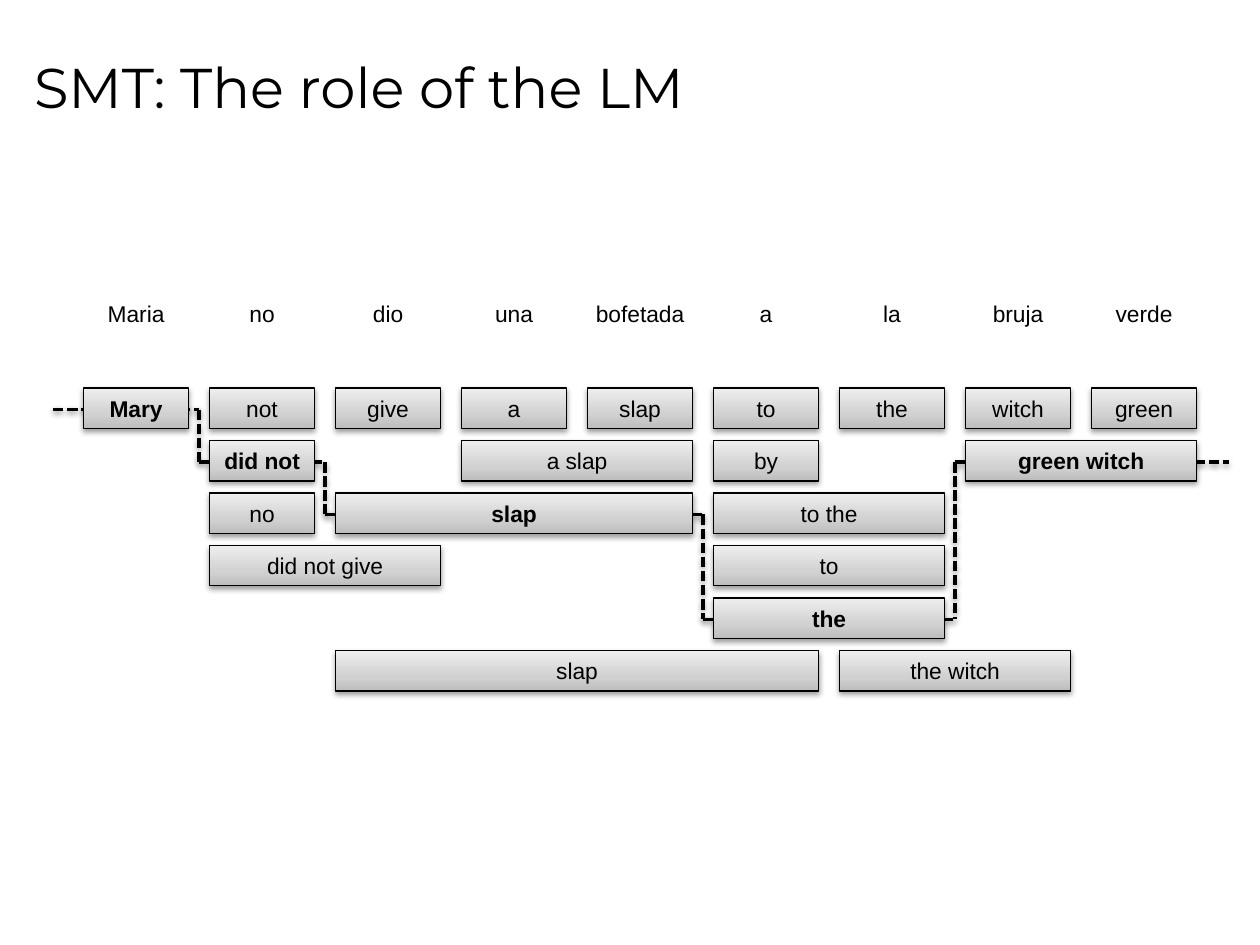
from itertools import pairwise

from pptx import Presentation
from pptx.dml.color import RGBColor
from pptx.enum.dml import MSO_LINE as Dash
from pptx.enum.shapes import MSO_CONNECTOR as Connector, MSO_SHAPE as Shape
from pptx.enum.text import MSO_ANCHOR as Anchor, MSO_AUTO_SIZE as AutoSize, PP_ALIGN as Align
from pptx.oxml import parse_xml
from pptx.oxml.ns import nsdecls
from pptx.util import Inches, Pt

# Content
TITLE = "SMT: The role of the LM"
SOURCE_WORDS = ["Maria", "no", "dio", "una", "bofetada", "a", "la", "bruja", "verde"]
# Phrase options in each row: (first column, columns covered, text, on chosen path)
PHRASE_ROWS = [
    [(0, 1, "Mary", True), (1, 1, "not", False), (2, 1, "give", False),
     (3, 1, "a", False), (4, 1, "slap", False), (5, 1, "to", False),
     (6, 1, "the", False), (7, 1, "witch", False), (8, 1, "green", False)],
    [(1, 1, "did not", True), (3, 2, "a slap", False), (5, 1, "by", False),
     (7, 2, "green witch", True)],
    [(1, 1, "no", False), (2, 3, "slap", True), (5, 2, "to the", False)],
    [(1, 2, "did not give", False), (5, 2, "to", False)],
    [(5, 2, "the", True)],
    [(2, 4, "slap", False), (6, 2, "the witch", False)],
]
# Corners of the chosen path: (column boundary, row)
PATH_CORNERS = [(-0.16, 0), (1, 0), (1, 1), (2, 1), (2, 2), (5, 2),
                (5, 4), (7, 4), (7, 1), (9.17, 1)]

# Grid, in inches
GRID_LEFT, COLUMN_WIDTH, COLUMN_GAP = 0.58, 1, 0.17
WORDS_TOP, GRID_TOP, ROW_PITCH, BOX_HEIGHT = 2.33, 3.08, 5 / 12, 0.32
PATH_TOP = 3.25

BLACK = RGBColor(0x00, 0x00, 0x00)
GRADIENT = [(0, RGBColor(0xBD, 0xBD, 0xBD)), (35, RGBColor(0xD1, 0xD1, 0xD1)),
            (100, RGBColor(0xEE, 0xEE, 0xEE))]


def add_gradient(box):
    stops = "".join(
        f'<a:gs pos="{share * 1000}"><a:srgbClr val="{colour}"/></a:gs>'
        for share, colour in GRADIENT)
    fill = parse_xml(
        f'<a:gradFill {nsdecls("a")} rotWithShape="1"><a:gsLst>{stops}</a:gsLst>'
        '<a:lin ang="16200000" scaled="0"/></a:gradFill>')
    box.element.spPr.insert(2, fill)  # right after the geometry


def add_shadow(item):
    item.element.spPr.append(parse_xml(
        f'<a:effectLst {nsdecls("a")}><a:outerShdw blurRad="40000" dist="20000" '
        'dir="5400000" rotWithShape="0"><a:srgbClr val="000000">'
        '<a:alpha val="38000"/></a:srgbClr></a:outerShdw></a:effectLst>'))


def write(box, text, size, font, align, bold=False):
    para = box.text_frame.paragraphs[0]
    para.alignment = align
    span = para.add_run()
    span.text = text
    span.font.size, span.font.name, span.font.bold = Pt(size), font, bold
    span.font.color.rgb = BLACK


def write_word(box, text, bold=False):
    frame = box.text_frame
    frame.word_wrap = True
    frame.auto_size = AutoSize.SHAPE_TO_FIT_TEXT
    frame.margin_left = frame.margin_right = Inches(0.05)
    write(box, text, 13, "Arial", Align.CENTER, bold)


def column_left(column):
    return GRID_LEFT + column * COLUMN_WIDTH


deck = Presentation()
deck.slide_width, deck.slide_height = Inches(10), Inches(7.5)
page = deck.slides.add_slide(deck.slide_layouts[5])

# Title
title = page.shapes.title
title.left, title.top = Inches(0.17), Inches(0.12)
title.width, title.height = Inches(9.5), Inches(1.12)
title.text_frame.vertical_anchor = Anchor.MIDDLE
write(title, TITLE, 32, "Montserrat", Align.LEFT)

# Chosen path, behind the phrase boxes
for corners in pairwise(PATH_CORNERS):
    ends = [Inches(length) for column, row in sorted(corners)
            for length in (column_left(column), PATH_TOP + row * ROW_PITCH)]
    link = page.shapes.add_connector(Connector.STRAIGHT, *ends)
    link.line.color.rgb = BLACK
    link.line.width = Pt(2)
    link.line.dash_style = Dash.SQUARE_DOT
    add_shadow(link)

# Source sentence
for column, word in enumerate(SOURCE_WORDS):
    label = page.shapes.add_textbox(
        Inches(column_left(column)), Inches(WORDS_TOP),
        Inches(COLUMN_WIDTH), Inches(BOX_HEIGHT))
    write_word(label, word)

# Phrase options
for row, phrases in enumerate(PHRASE_ROWS):
    for column, columns, text, chosen in phrases:
        box = page.shapes.add_shape(
            Shape.RECTANGLE,
            Inches(column_left(column) + COLUMN_GAP / 2),
            Inches(GRID_TOP + row * ROW_PITCH),
            Inches(columns * COLUMN_WIDTH - COLUMN_GAP), Inches(BOX_HEIGHT))
        add_gradient(box)
        box.line.color.rgb = BLACK
        box.line.width = Pt(0.75)
        add_shadow(box)
        write_word(box, text, chosen)

deck.save("out.pptx")
